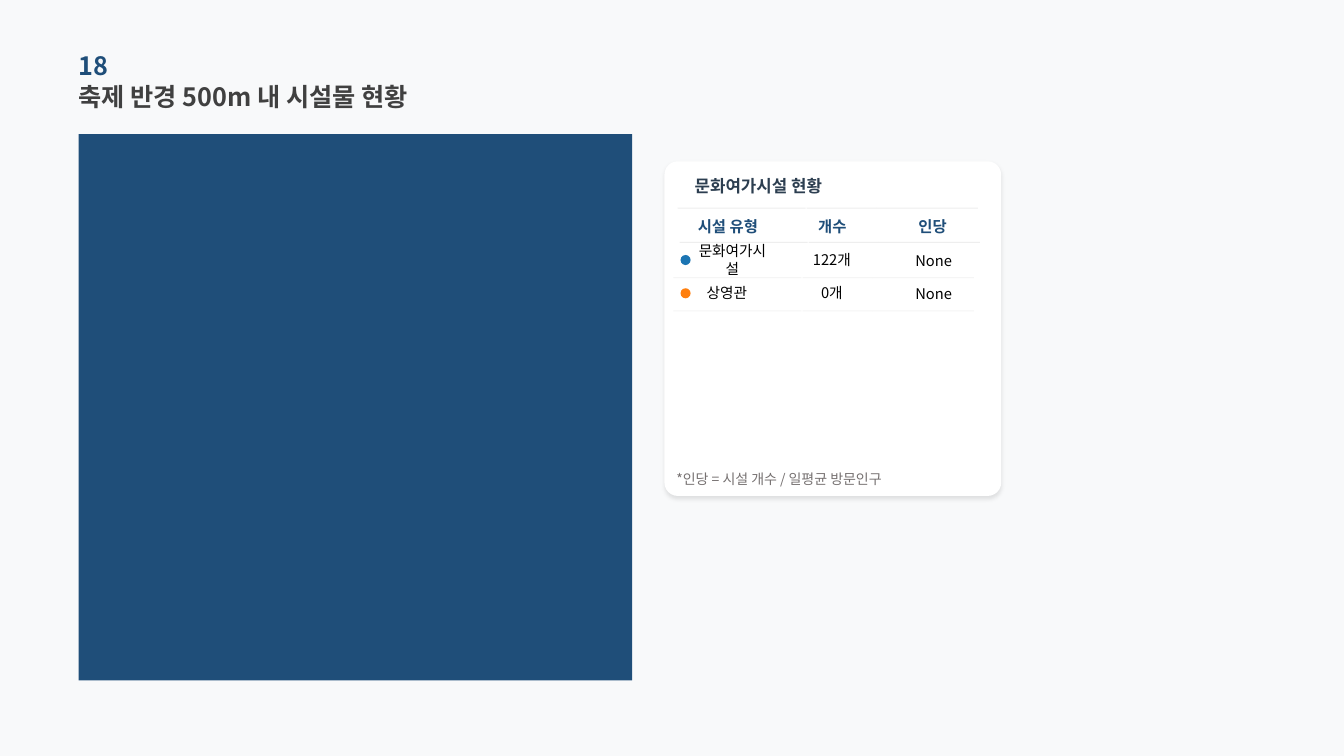
from lxml import etree
from pptx import Presentation
from pptx.dml.color import RGBColor
from pptx.enum.shapes import MSO_SHAPE
from pptx.enum.text import MSO_ANCHOR, MSO_AUTO_SIZE, PP_ALIGN
from pptx.oxml import parse_xml
from pptx.oxml.ns import nsdecls, qn
from pptx.util import Inches, Pt

RECT = MSO_SHAPE.RECTANGLE
ROUNDED = MSO_SHAPE.ROUNDED_RECTANGLE
OVAL = MSO_SHAPE.OVAL
MIDDLE = MSO_ANCHOR.MIDDLE
TOP = MSO_ANCHOR.TOP
LEFT = PP_ALIGN.LEFT
CENTER = PP_ALIGN.CENTER
GROW = MSO_AUTO_SIZE.SHAPE_TO_FIT_TEXT

FONT = "Noto Sans CJK KR"
NAVY = "1F4E79"

# Text formats: size in points, colour, weight
TITLE = {"size": 18, "color": "404040", "bold": True}
NUMBER = {"size": 18, "color": NAVY, "bold": True}
CARD_TITLE = {"size": 12, "color": "2C3E50", "bold": True}
HEADER = {"size": 11, "color": NAVY, "bold": True}
CELL = {"size": 10.5, "color": "000000", "bold": False}
FOOTNOTE = {"size": 10, "color": "767171", "bold": False}

# Rule segments under the three columns: offset from the row start, width
RULE_SEGMENTS = [(0, 1.27), (1.28, 0.69), (1.97, 1.01)]
RULE_HEIGHT = 0.01
LINE_HEIGHT = 0.17


def rgb(hex_color):
    return RGBColor.from_string(hex_color)


def add_block(slide, kind, left, top, width, height, color):
    block = slide.shapes.add_shape(
        kind, Inches(left), Inches(top), Inches(width), Inches(height))
    block.shadow.inherit = False
    block.fill.solid()
    block.fill.fore_color.rgb = rgb(color)
    block.line.fill.background()
    return block


def add_soft_shadow(block):
    effects = block._element.spPr.find(qn("a:effectLst"))
    effects.append(parse_xml(
        f'<a:outerShdw {nsdecls("a")} blurRad="{Pt(3)}" dist="{Pt(2)}" '
        'dir="5400000" algn="t" rotWithShape="0">'
        '<a:srgbClr val="000000"><a:alpha val="10000"/></a:srgbClr>'
        '</a:outerShdw>'))


def add_label(slide, text, left, top, width, height, look, align=LEFT):
    label = slide.shapes.add_textbox(
        Inches(left), Inches(top), Inches(width), Inches(height))
    frame = label.text_frame
    layout = {"word_wrap": True, "vertical_anchor": MIDDLE, "margin_left": 0,
              "margin_right": 0, "margin_top": 0, "margin_bottom": 0}
    for name, value in layout.items():
        setattr(frame, name, value)
    paragraph = frame.paragraphs[0]
    paragraph.alignment = align
    run = paragraph.add_run()
    run.text = text
    font_format = {"name": FONT, "size": Pt(look["size"]), "bold": look["bold"]}
    for name, value in font_format.items():
        setattr(run.font, name, value)
    run.font.color.rgb = rgb(look["color"])
    # Korean glyphs take the East Asian typeface
    etree.SubElement(run._r.get_or_add_rPr(), qn("a:ea"), typeface=FONT)
    return frame


def add_row_rule(slide, left, top, color):
    for offset, width in RULE_SEGMENTS:
        add_block(slide, RECT, left + offset, top, width, RULE_HEIGHT, color)


def add_footnote(slide, text, left, top, width, height):
    frame = add_label(slide, text, left, top, width, height, FOOTNOTE)
    layout = {"vertical_anchor": TOP, "auto_size": GROW,
              "margin_left": Inches(0.1), "margin_right": Inches(0.1),
              "margin_top": Inches(0.05), "margin_bottom": Inches(0.05)}
    for name, value in layout.items():
        setattr(frame, name, value)


def add_facility_row(slide, top, dot_color, facility, name_left, name_width,
                     count, per_person):
    add_row_rule(slide, 6.68, top + 0.26, "F5F5F5")
    add_block(slide, OVAL, 6.75, top + 0.04, 0.1, 0.1, dot_color)
    cells = [(facility, name_left, 0, name_width),
             (count, 7.66, 0, 1.18),
             (per_person, 8.67, 0.01, 1.18)]
    for text, left, drop, width in cells:
        add_label(slide, text, left, top + drop, width, LINE_HEIGHT,
                  CELL, CENTER)


def main():
    prs = Presentation()
    prs.slide_width = Inches(13.33)
    prs.slide_height = Inches(7.5)
    slide = prs.slides.add_slide(prs.slide_layouts[6])
    slide.background.fill.solid()
    slide.background.fill.fore_color.rgb = rgb("F8F9FA")

    # Heading
    add_label(slide, "축제 반경 500m 내 시설물 현황",
              0.78, 0.75, 5.49, 0.41, TITLE)
    add_label(slide, "18", 0.78, 0.44, 4.52, 0.41, NUMBER)

    # Map area
    add_block(slide, RECT, 0.78, 1.33, 5.49, 5.42, NAVY)

    # Facility card
    card = add_block(slide, ROUNDED, 6.59, 1.6, 3.34, 3.32, "FFFFFF")
    card.adjustments[0] = 0.04
    add_soft_shadow(card)
    add_label(slide, "문화여가시설 현황", 6.89, 1.74, 1.67, 0.21, CARD_TITLE)

    # Column headers between two rules
    for left, top in [(6.72, 2.06), (6.74, 2.4)]:
        add_row_rule(slide, left, top, "EEEEEE")
    for text, left, width in [("시설 유형", 6.86, 0.72),
                              ("개수", 8.1, 0.31),
                              ("인당", 9.01, 0.48)]:
        add_label(slide, text, left, 2.16, width, LINE_HEIGHT, HEADER, CENTER)

    # Facility rows
    add_facility_row(slide, 2.49, "1C75B3", "문화여가시설", 6.88, 0.77,
                     "122개", "None")
    add_facility_row(slide, 2.82, "FF7F0E", "상영관", 6.91, 0.6,
                     "0개", "None")

    add_footnote(slide, "*인당 = 시설 개수 / 일평균 방문인구",
                 6.61, 4.62, 2.68, 0.27)
    prs.save("out.pptx")


if __name__ == "__main__":
    main()
